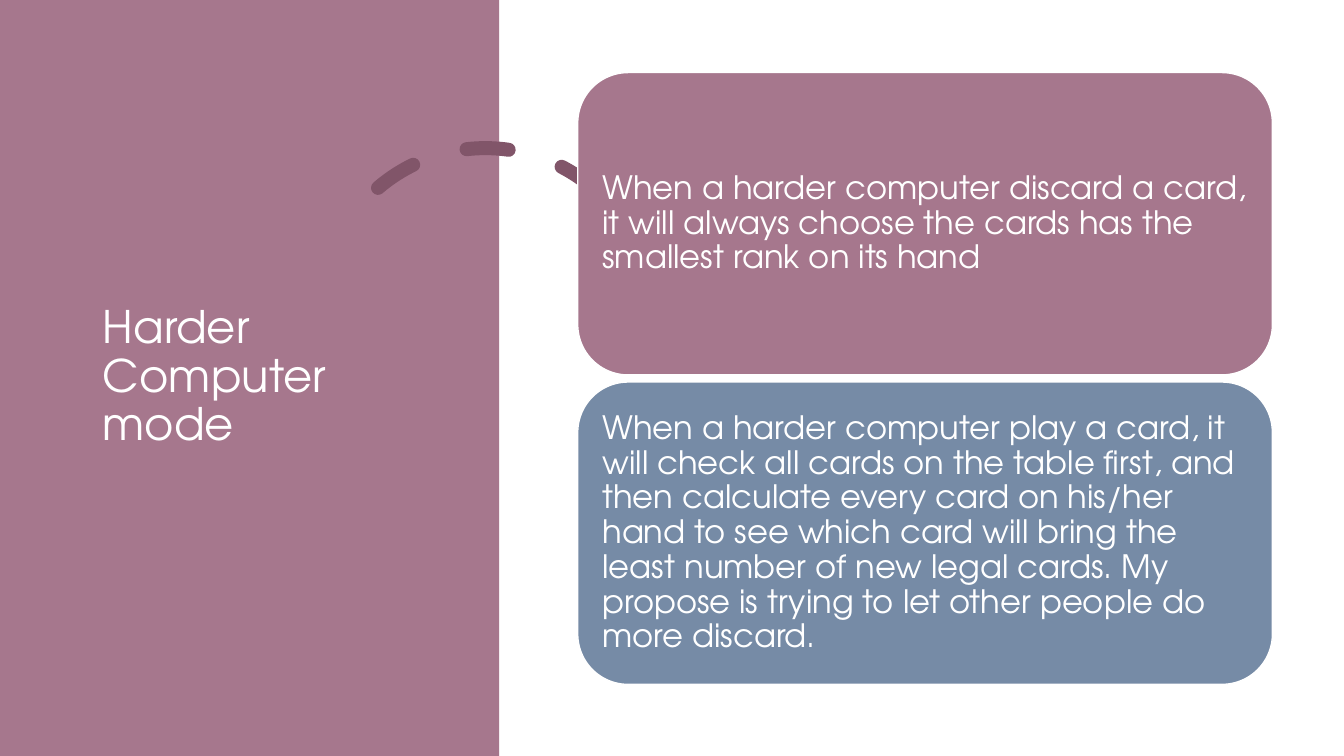
"""Build the slide on the harder computer mode: a title panel and two rule cards."""
from pptx import Presentation
from pptx.dml.color import RGBColor
from pptx.enum.dml import MSO_LINE
from pptx.enum.shapes import MSO_SHAPE
from pptx.enum.text import MSO_ANCHOR, MSO_AUTO_SIZE, PP_ALIGN
from pptx.util import Inches, Pt

RECT, ROUND, ARC = MSO_SHAPE.RECTANGLE, MSO_SHAPE.ROUNDED_RECTANGLE, MSO_SHAPE.ARC
DASH, MIDDLE, LEFT = MSO_LINE.DASH, MSO_ANCHOR.MIDDLE, PP_ALIGN.LEFT
FIXED = MSO_AUTO_SIZE.NONE

COLORS = {"mauve": "A6778D", "plum": "815569", "blue": "768BA6", "white": "FFFFFF"}
FONT = "TeX Gyre Adventor"
TITLE = "Harder Computer mode"
CARDS = [
    ("mauve", "When a harder computer discard a card, it will always choose the cards "
              "has the smallest rank on its hand"),
    ("blue", "When a harder computer play a card, it will check all cards on the table "
             "first, and then calculate every card on his/her hand to see which card will "
             "bring the least number of new legal cards. My propose is trying to let other "
             "people do more discard."),
]
WIDTH, HEIGHT = 13.33, 7.5
PANEL_W = 4.95
CARD_X, CARD_Y, CARD_W, CARD_H, CARD_GAP = 5.73, 0.72, 6.89, 3, 0.07


def color(name):
    return RGBColor.from_string(COLORS[name])


def add_box(kind, x, y, w, h, fill=None, line=None, weight=1):
    sp = s.shapes.add_shape(kind, Inches(x), Inches(y), Inches(w), Inches(h))
    sp.shadow.inherit = False
    if fill:
        sp.fill.solid()
        sp.fill.fore_color.rgb = color(fill)
    else:
        sp.fill.background()
    if line:
        sp.line.color.rgb = color(line)
        sp.line.width = Pt(weight)
    else:
        sp.line.fill.background()
    return sp


def write(sp, text, size, inset_x=0.1, inset_y=0.1):
    tf = sp.text_frame
    tf.text = text
    tf.word_wrap = True
    tf.auto_size = FIXED
    tf.vertical_anchor = MIDDLE
    tf.margin_left = tf.margin_right = Inches(inset_x)
    tf.margin_top = tf.margin_bottom = Inches(inset_y)
    p = tf.paragraphs[0]
    p.alignment = LEFT
    p.line_spacing = 0.9
    p.font.name = FONT
    p.font.size = Pt(size)
    p.font.color.rgb = color("white")


prs = Presentation()
prs.slide_width, prs.slide_height = Inches(WIDTH), Inches(HEIGHT)
s = prs.slides.add_slide(prs.slide_layouts[5])
title = s.shapes.title

add_box(RECT, 0, 0, PANEL_W, HEIGHT, "mauve")
arc = add_box(ARC, 3.18, 1.47, 3.27, 3.27, line="plum", weight=10)
arc.adjustments[0], arc.adjustments[1] = 146.13, 0
arc.rotation = 345.8
arc.line.dash_style = DASH
arc.line._get_or_add_ln().set("cap", "rnd")

title.left, title.top, title.width, title.height = map(Inches, (0.92, 0.7, 3.23, 6.09))
write(title, TITLE, 32, inset_y=0.05)
title.element.getparent().append(title.element)

for i, (fill, text) in enumerate(CARDS):
    y = CARD_Y + i * (CARD_H + CARD_GAP)
    write(add_box(ROUND, CARD_X, y, CARD_W, CARD_H, fill, "white"), text, 23)

prs.save("out.pptx")
